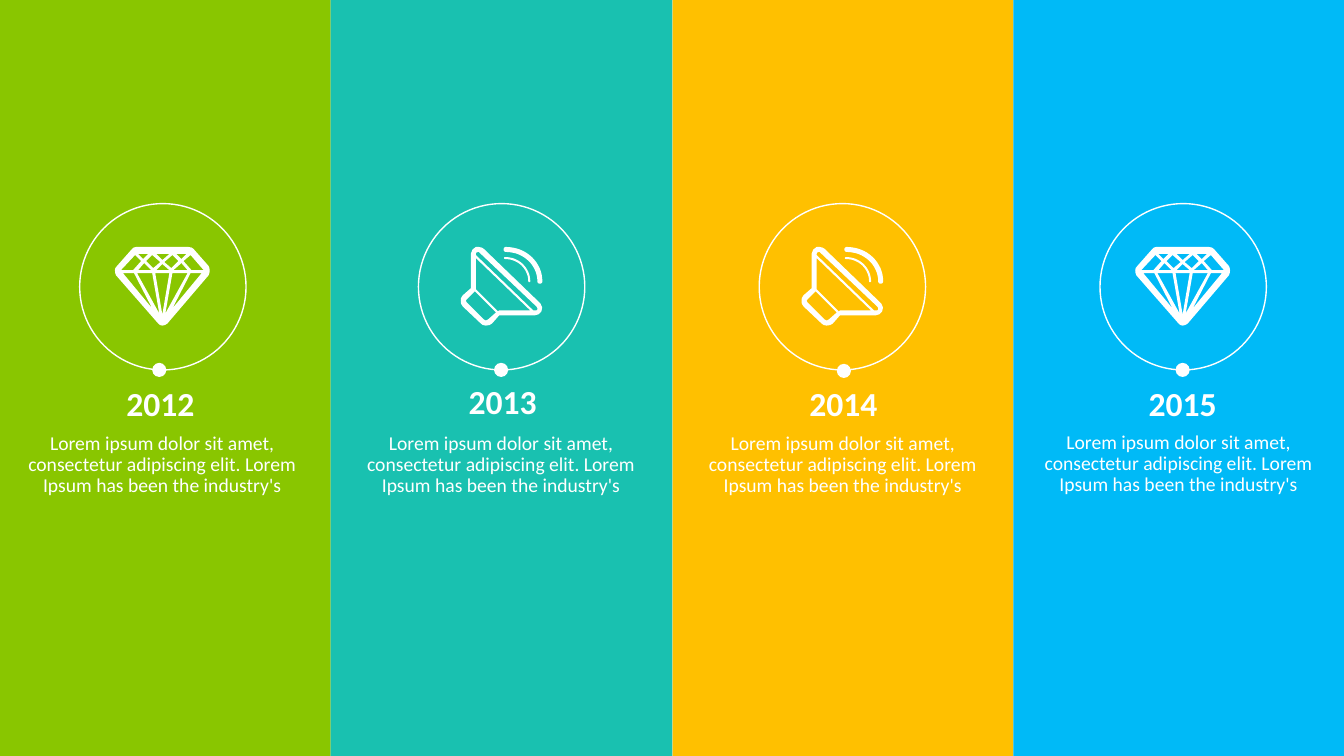
from dataclasses import dataclass
from math import cos, pi, sin

from pptx import Presentation
from pptx.dml.color import RGBColor
from pptx.enum.shapes import MSO_SHAPE
from pptx.enum.text import PP_ALIGN
from pptx.util import Inches, Pt

RECTANGLE, OVAL = MSO_SHAPE.RECTANGLE, MSO_SHAPE.OVAL
CENTER = PP_ALIGN.CENTER
FONT = "Calibri"
COLORS = {
    "background": "F8F4E9",
    "white": "FFFFFF",
    "green": "89C600",
    "teal": "19C1B0",
    "amber": "FFC000",
    "blue": "00BAF7",
}
SLIDE_WIDTH, SLIDE_HEIGHT = 13.33, 7.5
RING_TOP, RING_SIZE, DOT_SIZE = 2.02, 1.65, 0.14
ICON_TOP = 2.45
SUMMARY = ("Lorem ipsum dolor sit amet, consectetur adipiscing elit. "
           "Lorem Ipsum has been the industry's")

Contour = list[tuple[float, float]]


@dataclass
class Icon:
    """Outlines in hundredths of an inch, each a list of contours."""
    inset: float
    outlines: list[list[Contour]]


@dataclass
class Panel:
    year: str
    color: str
    left: float
    right: float
    ring_left: float
    dot_left: float
    dot_top: float
    year_left: float
    year_top: float
    year_width: float
    summary_left: float
    summary_top: float
    icon: Icon


def arc(cx: float, cy: float, rx: float, ry: float,
        start: float, end: float, steps: int = 16) -> Contour:
    angles = [start + (end - start) * i / steps for i in range(steps + 1)]
    return [(cx + rx * cos(a), cy + ry * sin(a)) for a in angles]


def sound_wave(cx: float, cy: float, rx: float, ry: float, width: float) -> Contour:
    """Quarter-turn band with round ends; rx and ry are its inner radii."""
    half = width / 2
    return (arc(cx, cy, rx, ry, -pi / 2, 0)
            + arc(cx + rx + half, cy, half, half, pi, 0)
            + arc(cx, cy, rx + width, ry + width, 0, -pi / 2)
            + arc(cx, cy - ry - half, half, half, -pi / 2, -3 * pi / 2))


DIAMOND = Icon(0.35, [[
    [(93, 19), (78, 2), (76, 0.6), (73, 0), (21, 0), (18.5, 0.6), (17, 2),
     (2, 19), (0.4, 21), (0, 23), (0.2, 25.5), (1, 28), (43, 76), (44.8, 77.5),
     (47, 78), (49.5, 77.5), (52, 76), (93, 28), (93.8, 25.5), (94, 23), (93.7, 21)],
    [(20, 8), (26, 14), (18, 23), (6, 23)],
    [(76, 23), (68, 14), (75, 8), (88, 23)],
    [(75, 26), (86, 26), (57, 61)],
    [(37, 61), (8, 26), (19, 26)],
    [(37, 26), (44, 66), (22, 26)],
    [(29, 16), (36, 23), (23, 23)],
    [(28, 12), (23, 7), (33, 7)],
    [(47, 13), (41, 7), (54, 7)],
    [(61, 7), (71, 7), (66, 12)],
    [(58, 23), (66, 16), (72, 23)],
    [(57, 26), (72, 26), (50, 66)],
    [(54, 26), (47, 67), (40, 26)],
    [(38, 21), (31, 14), (37, 8), (45, 15)],
    [(49, 15), (57, 8), (63, 14), (56, 21)],
    [(54, 23), (41, 23), (47, 17)],
]])
SPEAKER = Icon(0.42, [
    [[sound for sound in sound_wave(44, 34, 23, 22, 2)]],
    [
        [(23, 2), (21, 0.7), (18, 0), (15, 0), (11.6, 2.6), (10, 7), (10, 41),
         (2, 48), (0.3, 50.7), (0, 53.5), (0.3, 56.3), (2, 59), (20, 76),
         (22, 77.5), (25, 78), (28.5, 77.5), (31, 76), (38, 68), (73, 68),
         (77.3, 66.8), (80, 64), (80.8, 60), (79, 56)],
        [(76, 62), (75, 63), (72, 63), (15, 8), (15, 7), (15.4, 5.6), (17, 5),
         (18, 5), (19, 6), (75, 59), (76, 60.5)],
        [(38, 63), (37, 64), (15, 42), (15, 11), (69, 63)],
        [(35, 65), (27, 72), (25, 73), (23, 72), (6, 55), (5, 53.5), (6, 52), (14, 44)],
    ],
    [sound_wave(45, 34, 31, 29, 5)],
])
PANELS = [
    Panel("2012", "green", 0, 3.28, 0.79, 1.51, 3.6, 0.03, 3.75, 3.12, 0.16, 4.25, DIAMOND),
    Panel("2013", "teal", 3.28, 6.67, 4.15, 4.9, 3.6, 3.28, 3.73, 3.41, 3.52, 4.25, SPEAKER),
    Panel("2014", "amber", 6.67, 10.05, 7.53, 8.3, 3.61, 6.67, 3.75, 3.39, 6.91, 4.25, SPEAKER),
    Panel("2015", "blue", 10.05, SLIDE_WIDTH, 10.91, 11.66, 3.6, 10.09, 3.75, 3.28,
          10.24, 4.24, DIAMOND),
]


def paint(shape, fill: str, line: str | None = None) -> None:
    shape.shadow.inherit = False
    shape.fill.solid()
    shape.fill.fore_color.rgb = RGBColor.from_string(COLORS[fill])
    if line:
        shape.line.color.rgb = RGBColor.from_string(COLORS[line])
        shape.line.width = Pt(1)
    else:
        shape.line.fill.background()


def add_preset(slide, kind, left: float, top: float, width: float, height: float,
               fill: str, line: str | None = None) -> None:
    shape = slide.shapes.add_shape(
        kind, Inches(left), Inches(top), Inches(width), Inches(height))
    paint(shape, fill, line)


def add_outline(slide, contours: list[Contour], left: float, top: float) -> None:
    """Draw the contours as one shape; inner contours become holes."""
    scaled = [[(x * 10, y * 10) for x, y in contour] for contour in contours]
    builder = slide.shapes.build_freeform(*scaled[0][0], scale=Inches(1) / 1000)
    for index, contour in enumerate(scaled):
        if index:
            builder.move_to(*contour[0])
        builder.add_line_segments(contour[1:], close=True)
    paint(builder.convert_to_shape(Inches(left), Inches(top)), "white")


def add_text(slide, text: str, left: float, top: float, width: float, height: float,
             size: int, bold: bool = False, line_spacing: float = 1.0) -> None:
    box = slide.shapes.add_textbox(
        Inches(left), Inches(top), Inches(width), Inches(height))
    box.text_frame.word_wrap = True
    paragraph = box.text_frame.paragraphs[0]
    paragraph.alignment = CENTER
    paragraph.line_spacing = line_spacing
    run = paragraph.add_run()
    run.text = text
    run.font.name = FONT
    run.font.size = Pt(size)
    run.font.bold = bold
    run.font.color.rgb = RGBColor.from_string(COLORS["white"])


def add_panel(slide, panel: Panel) -> None:
    add_preset(slide, RECTANGLE, panel.left, 0, panel.right - panel.left,
               SLIDE_HEIGHT, panel.color)
    add_text(slide, panel.year, panel.year_left, panel.year_top,
             panel.year_width, 0.5, 24, bold=True)
    add_text(slide, SUMMARY, panel.summary_left, panel.summary_top,
             2.9, 0.8, 14, line_spacing=0.9)
    add_preset(slide, OVAL, panel.ring_left, RING_TOP, RING_SIZE, RING_SIZE,
               panel.color, "white")
    for contours in panel.icon.outlines:
        add_outline(slide, contours, panel.ring_left + panel.icon.inset, ICON_TOP)
    add_preset(slide, OVAL, panel.dot_left, panel.dot_top, DOT_SIZE, DOT_SIZE, "white")


def main() -> None:
    presentation = Presentation()
    presentation.slide_width = Inches(SLIDE_WIDTH)
    presentation.slide_height = Inches(SLIDE_HEIGHT)
    slide = presentation.slides.add_slide(presentation.slide_layouts[6])
    slide.background.fill.solid()
    slide.background.fill.fore_color.rgb = RGBColor.from_string(COLORS["background"])
    for panel in PANELS:
        add_panel(slide, panel)
    presentation.save("out.pptx")


if __name__ == "__main__":
    main()
